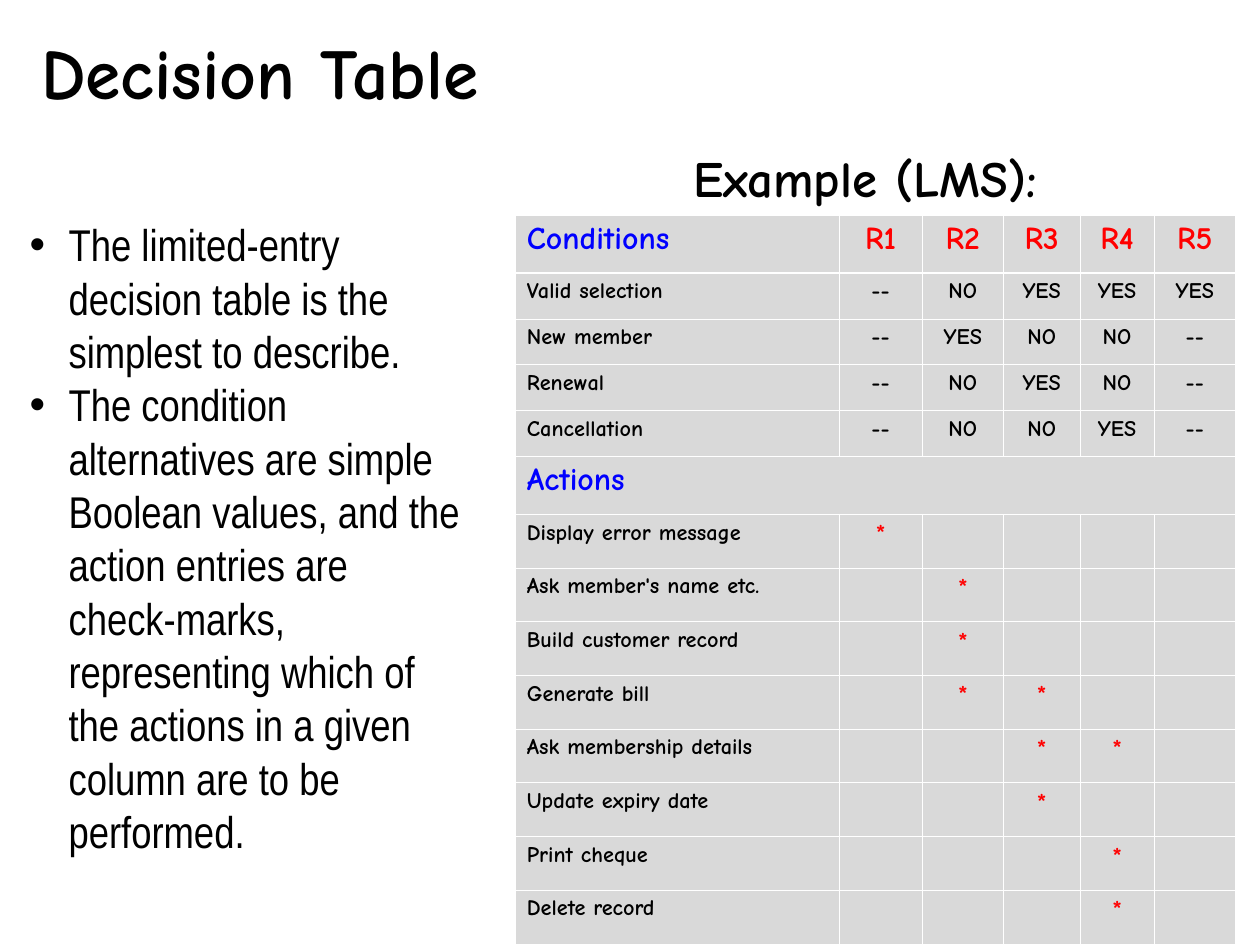
from dataclasses import dataclass

from lxml.etree import SubElement
from pptx import Presentation
from pptx.dml.color import RGBColor
from pptx.enum.text import MSO_ANCHOR, MSO_AUTO_SIZE, PP_ALIGN
from pptx.oxml.ns import qn
from pptx.util import Inches, Pt


@dataclass(frozen=True)
class Theme:
    heading_font: str = "Comic Neue"
    body_font: str = "Arial Narrow"
    text: str = "000000"
    section: str = "0000FF"
    accent: str = "FF0000"
    cell: str = "D9D9D9"
    border: str = "FFFFFF"
    title_size: float = 45
    subtitle_size: float = 32
    body_size: float = 28
    section_size: float = 20
    mark_size: float = 16
    label_size: float = 14
    thin_line: float = 0.45
    thick_line: float = 1.47


theme = Theme()

POINTS = [
    "The limited-entry decision table is the simplest to describe.",
    "The condition alternatives are simple Boolean values, and the action entries "
    "are check-marks, representing which of the actions in a given column are to be performed.",
]
RULES = ["R1", "R2", "R3", "R4", "R5"]
CONDITIONS = [
    ["Valid selection", "--", "NO", "YES", "YES", "YES"],
    ["New member", "--", "YES", "NO", "NO", "--"],
    ["Renewal", "--", "NO", "YES", "NO", "--"],
    ["Cancellation", "--", "NO", "NO", "YES", "--"],
]
ACTIONS = {
    "Display error message": ["R1"],
    "Ask member's name etc.": ["R2"],
    "Build customer record": ["R2"],
    "Generate bill": ["R2", "R3"],
    "Ask membership details": ["R3", "R4"],
    "Update expiry date": ["R3"],
    "Print cheque": ["R4"],
    "Delete record": ["R4"],
}
COLUMN_WIDTHS = [2.83, 0.73, 0.71, 0.67, 0.65, 0.71]
SECTION_HEIGHT, CONDITION_HEIGHT, ACTION_HEIGHT = 0.51, 0.4, 0.47


def style_runs(para, font_name, size, color, bold):
    for span in para.runs:
        span.font.name = font_name
        span.font.size = Pt(size)
        span.font.bold = bold
        span.font.color.rgb = RGBColor.from_string(color)


def draw_borders(cell, top_width, bottom_width):
    properties = cell._tc.get_or_add_tcPr()
    widths = {"L": theme.thin_line, "R": theme.thin_line, "T": top_width, "B": bottom_width}
    for side, width in widths.items():
        line = SubElement(properties, qn(f"a:ln{side}"), w=str(Pt(width)))
        fill = SubElement(line, qn("a:solidFill"))
        SubElement(fill, qn("a:srgbClr"), val=theme.border)


deck = Presentation()
deck.slide_width = Pt(793.75)
deck.slide_height = Pt(595.25)
page = deck.slides.add_slide(deck.slide_layouts[1])

# Bulleted points
body = page.placeholders[1]
body.left, body.top, body.width, body.height = map(Inches, (0.16, 1.85, 3.96, 5.71))
body.text_frame.text = "\n".join(POINTS)
body.text_frame.auto_size = MSO_AUTO_SIZE.NONE
for para in body.text_frame.paragraphs:
    properties = para._p.get_or_add_pPr()
    properties.set("marL", str(Inches(0.34)))
    properties.set("indent", str(-Inches(0.34)))
    SubElement(properties, qn("a:buChar"), char="•")
    para.space_before = Pt(0)
    style_runs(para, theme.body_font, theme.body_size, theme.text, False)

# Headings
title = page.shapes.title
example = page.shapes.add_textbox(0, 0, 0, 0)
headings = [
    (title, "Decision Table", theme.title_size, (0.34, 0.29, 4.97, 0.74)),
    (example, "Example (LMS):", theme.subtitle_size, (6.05, 1.31, 3.7, 0.54)),
]
for box, text, size, place in headings:
    box.left, box.top, box.width, box.height = map(Inches, place)
    frame = box.text_frame
    frame.text = text
    frame.word_wrap = True
    frame.auto_size = MSO_AUTO_SIZE.NONE
    frame.vertical_anchor = MSO_ANCHOR.MIDDLE
    frame.margin_left = frame.margin_right = Inches(0.02)
    frame.margin_top = frame.margin_bottom = Inches(0.06)
    para = frame.paragraphs[0]
    para.alignment = PP_ALIGN.LEFT
    para.line_spacing = 0.94
    style_runs(para, theme.heading_font, size, theme.text, True)

# Decision table
action_rows = [
    [action] + ["*" if rule in marked else "" for rule in RULES]
    for action, marked in ACTIONS.items()
]
rows = [["Conditions"] + RULES] + CONDITIONS + [["Actions"] + [""] * len(RULES)] + action_rows
actions_row = len(CONDITIONS) + 1
heights = (
    [SECTION_HEIGHT] + [CONDITION_HEIGHT] * len(CONDITIONS)
    + [SECTION_HEIGHT] + [ACTION_HEIGHT] * len(ACTIONS)
)
table = page.shapes.add_table(
    len(rows), len(COLUMN_WIDTHS),
    Inches(4.51), Inches(1.88), Inches(sum(COLUMN_WIDTHS)), Inches(sum(heights)),
).table
table.first_row = table.horz_banding = False
for column, width in zip(table.columns, COLUMN_WIDTHS):
    column.width = Inches(width)

for row_index, (values, height) in enumerate(zip(rows, heights)):
    table.rows[row_index].height = Inches(height)
    top_width = theme.thick_line if row_index == 1 else theme.thin_line
    bottom_width = theme.thick_line if row_index == 0 else theme.thin_line
    for column_index, value in enumerate(values):
        cell = table.cell(row_index, column_index)
        draw_borders(cell, top_width, bottom_width)
        cell.fill.solid()
        cell.fill.fore_color.rgb = RGBColor.from_string(theme.cell)
        if not value:
            continue
        if row_index in (0, actions_row):
            size = theme.section_size
            color = theme.accent if column_index else theme.section
        elif value == "*":
            size, color = theme.mark_size, theme.accent
        else:
            size, color = theme.label_size, theme.text
        cell.text_frame.text = value
        para = cell.text_frame.paragraphs[0]
        para.alignment = PP_ALIGN.CENTER if column_index else PP_ALIGN.LEFT
        style_runs(para, theme.heading_font, size, color, True)

table.cell(actions_row, 0).merge(table.cell(actions_row, len(RULES)))

deck.save("out.pptx")
